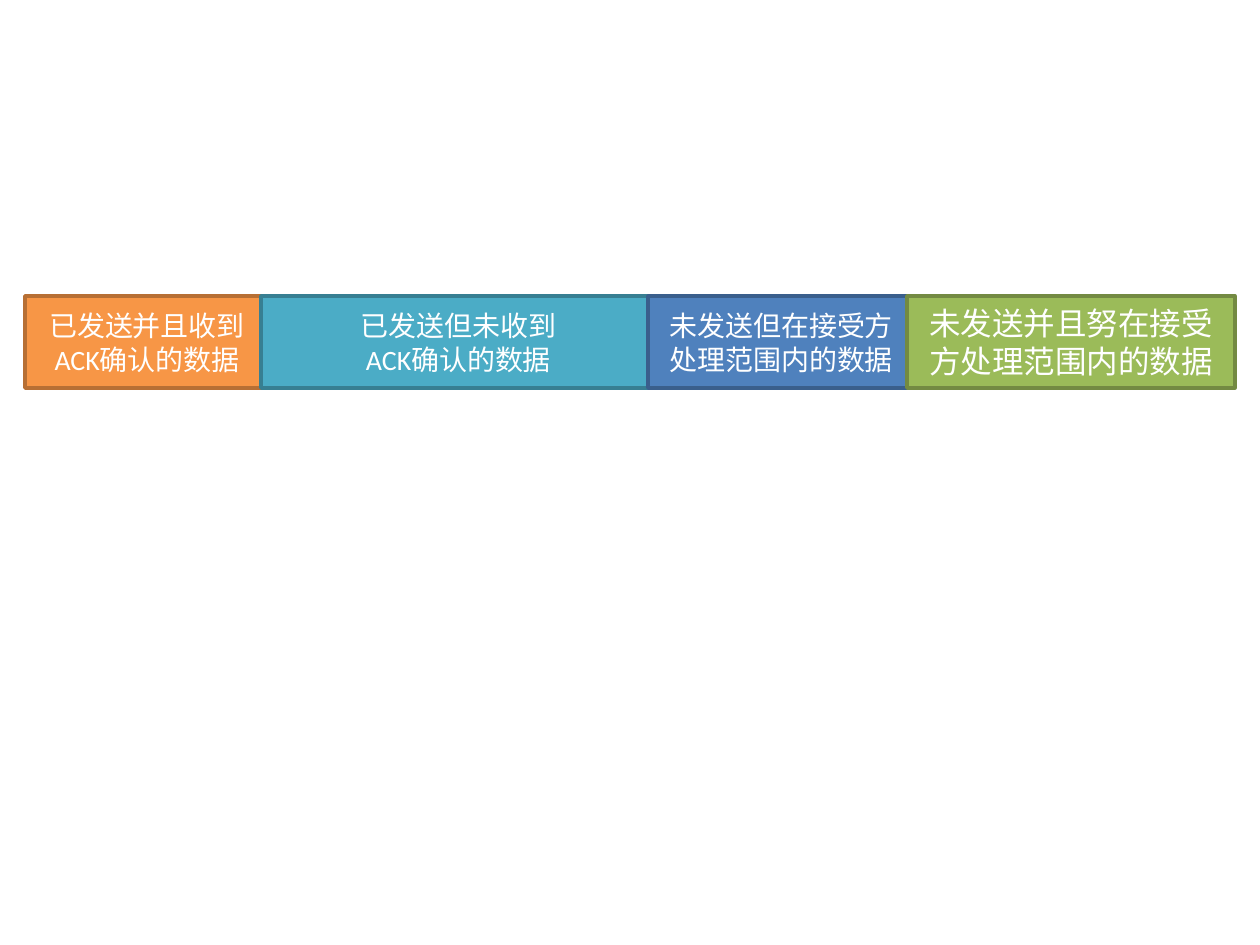
"""Build a slide that shows the four data zones of a sending window."""
from dataclasses import dataclass

from pptx import Presentation, util as u
from pptx.dml.color import RGBColor
from pptx.enum import shapes, text

PX = u.Inches(1) // 126
LEFT, TOP, HIGH, LAP = 25, 296, 92, 8
HUES = {
    "orange": "F79646", "rust": "B76F34",
    "aqua": "4BACC6", "teal": "377F92",
    "blue": "4F81BD", "navy": "3A5F8C",
    "green": "9BBB59", "olive": "738A42",
    "white": "FFFFFF",
}


@dataclass
class Zone:
    lines: list[str]
    width: int
    fill: str
    edge: str
    size: int = 16


ZONES = [
    Zone(["已发送并且收到", "ACK确认的数据"], 244, "orange", "rust"),
    Zone(["已发送但未收到", "ACK确认的数据"], 395, "aqua", "teal"),
    Zone(["未发送但在接受方处理范围内的数据"], 267, "blue", "navy"),
    Zone(["未发送并且努在接受方处理范围内的数据"], 328, "green", "olive", 18),
]


def hue(name: str) -> RGBColor:
    return RGBColor.from_string(HUES[name])


def write(frame, lines: list[str], *, size: int, color: str = "white",
          font: str = "Calibri", align=text.PP_ALIGN.CENTER) -> None:
    frame.word_wrap = True
    frame.vertical_anchor = text.MSO_ANCHOR.MIDDLE
    frame.text = "\n".join(lines)
    for para in frame.paragraphs:
        para.alignment = align
        for run in para.runs:
            run.font.name = font
            run.font.size = u.Pt(size)
            run.font.color.rgb = hue(color)


def draw(slide, zone: Zone, left: int) -> None:
    box = slide.shapes.add_shape(
        shapes.MSO_SHAPE.RECTANGLE,
        *(n * PX for n in (left, TOP, zone.width, HIGH)))
    box.shadow.inherit = False
    box.fill.solid()
    box.fill.fore_color.rgb = hue(zone.fill)
    box.line.color.rgb = hue(zone.edge)
    box.line.width = u.Pt(2)
    write(box.text_frame, zone.lines, size=zone.size)


def main() -> None:
    deck = Presentation()
    deck.slide_width, deck.slide_height = u.Inches(10), u.Inches(7.5)
    slide = deck.slides.add_slide(deck.slide_layouts[6])
    left = LEFT
    for zone in ZONES:
        draw(slide, zone, left)
        left += zone.width - LAP
    deck.save("out.pptx")


main()
